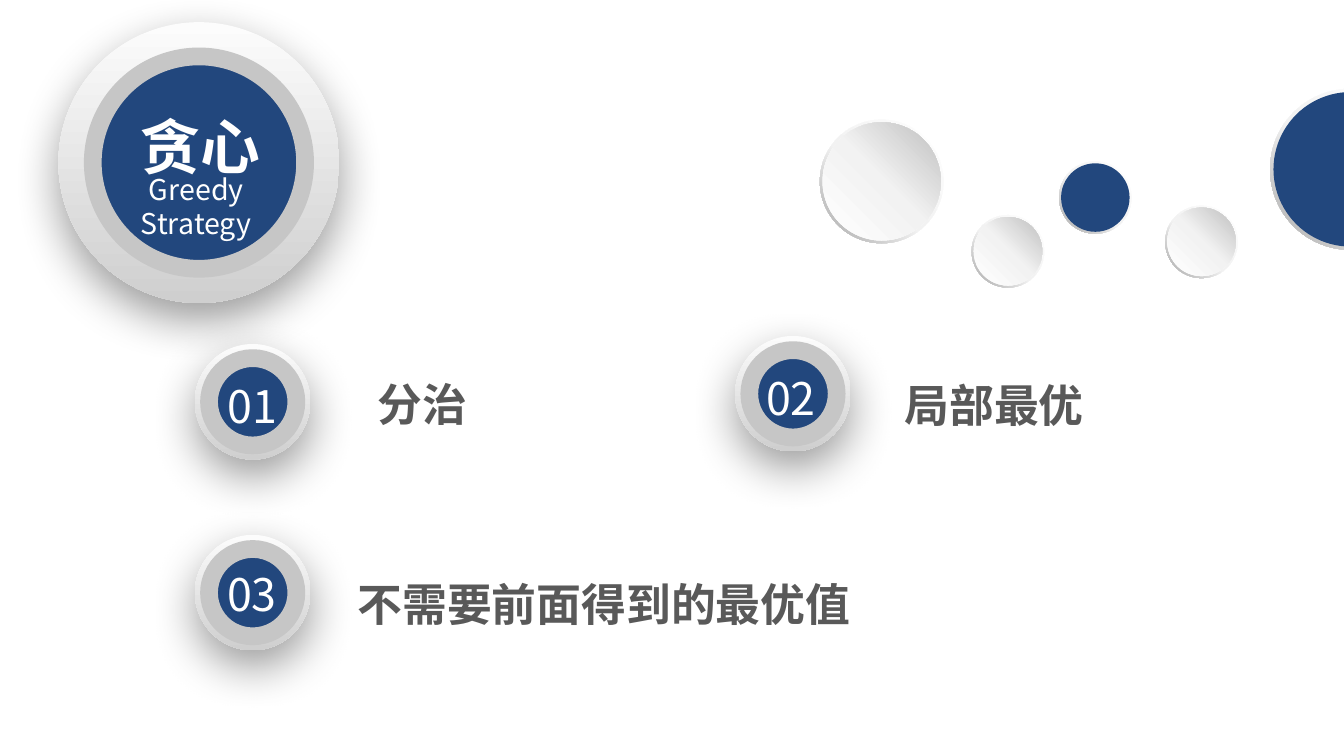
from lxml import etree
from pptx import Presentation
from pptx.dml.color import RGBColor
from pptx.enum.shapes import MSO_SHAPE
from pptx.enum.text import MSO_ANCHOR, PP_ALIGN
from pptx.oxml.ns import qn
from pptx.util import Inches, Pt

OVAL, DONUT = MSO_SHAPE.OVAL, MSO_SHAPE.DONUT
TOP, MIDDLE, BOTTOM = MSO_ANCHOR.TOP, MSO_ANCHOR.MIDDLE, MSO_ANCHOR.BOTTOM
LEFT, CENTER = PP_ALIGN.LEFT, PP_ALIGN.CENTER

FONT = "Noto Sans CJK SC"
COLORS = {"blue": "22477D", "ring": "C6C6C6", "white": "FFFFFF",
          "text": "595959", "shadow": "000000"}

# Gradients: (clockwise angle, [(position in percent, colour), ...])
DISC = (90, [(0, "FCFCFC"), (100, "CFCFCF")])
RIM = (135, [(0, "FFFFFF"), (55, "F2F2F2"), (100, "A6A6A6")])
BALL = (315, [(0, "FFFFFF"), (51, "F2F2F2"), (100, "BFBFBF")])

# Text insets: left, top, right, bottom
TITLE_INSETS = (0.1, 0.05, 0.1, 0.05)
NUMBER_INSETS = (0, 0.05, 0, 0.05)
NO_INSETS = (0, 0, 0, 0)
LABEL_INSETS = (0.39, 0, 0, 0)


def rgb(name):
    return RGBColor.from_string(COLORS[name])


def child(parent, tag, **attrs):
    return etree.SubElement(parent, qn(tag), {k: str(v) for k, v in attrs.items()})


def fill_gradient(sp, gradient):
    angle, stops = gradient
    sp.fill.gradient()
    grad = sp._element.spPr.find(qn("a:gradFill"))
    for old in list(grad):
        grad.remove(old)
    stop_list = child(grad, "a:gsLst")
    for position, color in stops:
        stop = child(stop_list, "a:gs", pos=position * 1000)
        child(stop, "a:srgbClr", val=color)
    child(grad, "a:lin", ang=angle * 60000, scaled=0)


def add_drop_shadow(sp):
    effects = sp._element.spPr.find(qn("a:effectLst"))
    shadow = child(effects, "a:outerShdw", blurRad=Pt(25), dist=Pt(9),
                   dir=90 * 60000, algn="t", rotWithShape=0)
    color = child(shadow, "a:srgbClr", val=COLORS["shadow"])
    child(color, "a:alpha", val=40000)


def add_round(group, kind, center, size, fill):
    """Add a round shape; fill is a colour name or a gradient."""
    x, y = center
    sp = group.shapes.add_shape(kind, Inches(x - size / 2), Inches(y - size / 2),
                                Inches(size), Inches(size))
    sp.shadow.inherit = False
    sp.line.fill.background()
    if isinstance(fill, str):
        sp.fill.solid()
        sp.fill.fore_color.rgb = rgb(fill)
    else:
        fill_gradient(sp, fill)
    return sp


def add_text(group, box, text, size, insets, color="white", bold=False,
             align=CENTER, anchor=MIDDLE, wrap=False):
    sp = group.shapes.add_textbox(*map(Inches, box))
    tf = sp.text_frame
    tf.word_wrap = wrap
    tf.vertical_anchor = anchor
    tf.margin_left, tf.margin_top, tf.margin_right, tf.margin_bottom = map(Inches, insets)
    tf.text = text
    p = tf.paragraphs[0]
    p.alignment = align
    r = p.runs[0]
    r.font.size = Pt(size)
    r.font.bold = bold
    r.font.name = FONT
    r.font.color.rgb = rgb(color)
    child(r._r.get_or_add_rPr(), "a:ea", typeface=FONT)


def add_badge(group, center, outer, inner):
    """Add a shadowed disc with a grey-rimmed blue centre."""
    add_drop_shadow(add_round(group, OVAL, center, outer, DISC))
    sp = add_round(group, OVAL, center, inner, "blue")
    sp.line.color.rgb = rgb("ring")
    sp.line.width = Pt(9.5)


def add_title(slide):
    group = slide.shapes.add_group_shape()
    add_badge(group, (1.48, 1.21), 2.09, 1.58)
    add_text(group, (0.72, 1.37, 1.48, 0.42), "Greedy Strategy", 15.3,
             NO_INSETS, anchor=BOTTOM, wrap=True)
    add_text(group, (0.75, 0.77, 1.48, 0.76), "贪心", 32,
             TITLE_INSETS, bold=True, anchor=TOP, wrap=True)


def add_item(slide, center, number, number_box, label, label_box):
    group = slide.shapes.add_group_shape()
    add_badge(group, center, 0.86, 0.65)
    add_text(group, number_box, number, 24, NUMBER_INSETS)
    add_text(group, label_box, label, 24, LABEL_INSETS, "text", bold=True,
             align=LEFT, anchor=BOTTOM)


def add_ball(slide, center, rim_size, ball_size, fill):
    group = slide.shapes.add_group_shape()
    rim = add_round(group, DONUT, center, rim_size, RIM)
    rim.adjustments[0] = 0.049
    add_round(group, OVAL, center, ball_size, fill)


def main():
    prs = Presentation()
    prs.slide_width = Inches(10)
    prs.slide_height = prs.slide_width * 9 // 16
    slide = prs.slides.add_slide(prs.slide_layouts[6])

    add_title(slide)

    items = [
        ((1.88, 2.99), "01", (1.61, 2.73, 0.54, 0.58),
         "分治", (2.42, 2.61, 1.63, 0.59)),
        ((5.9, 2.93), "02", (5.59, 2.67, 0.59, 0.58),
         "局部最优", (6.34, 2.69, 3.25, 0.52)),
        ((1.88, 4.41), "03", (1.58, 4.13, 0.59, 0.58),
         "不需要前面得到的最优值", (2.27, 3.36, 5.47, 1.33)),
    ]
    for item in items:
        add_item(slide, *item)

    balls = [
        ((6.56, 1.35), 0.92, 0.88, BALL),
        ((7.5, 1.87), 0.54, 0.51, BALL),
        ((8.15, 1.47), 0.54, 0.51, "blue"),
        ((8.94, 1.8), 0.54, 0.51, BALL),
        ((10.05, 1.26), 1.2, 1.15, "blue"),
    ]
    for ball in balls:
        add_ball(slide, *ball)

    prs.save("out.pptx")


if __name__ == "__main__":
    main()
